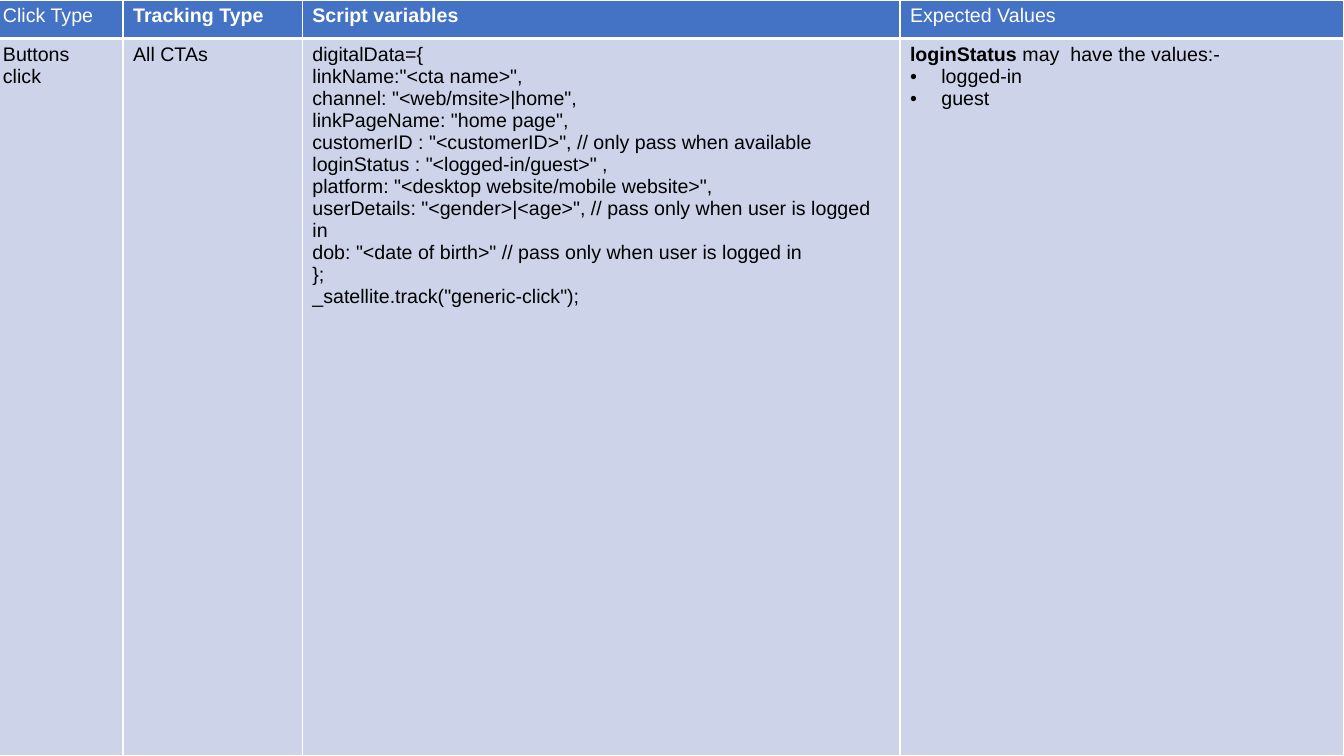
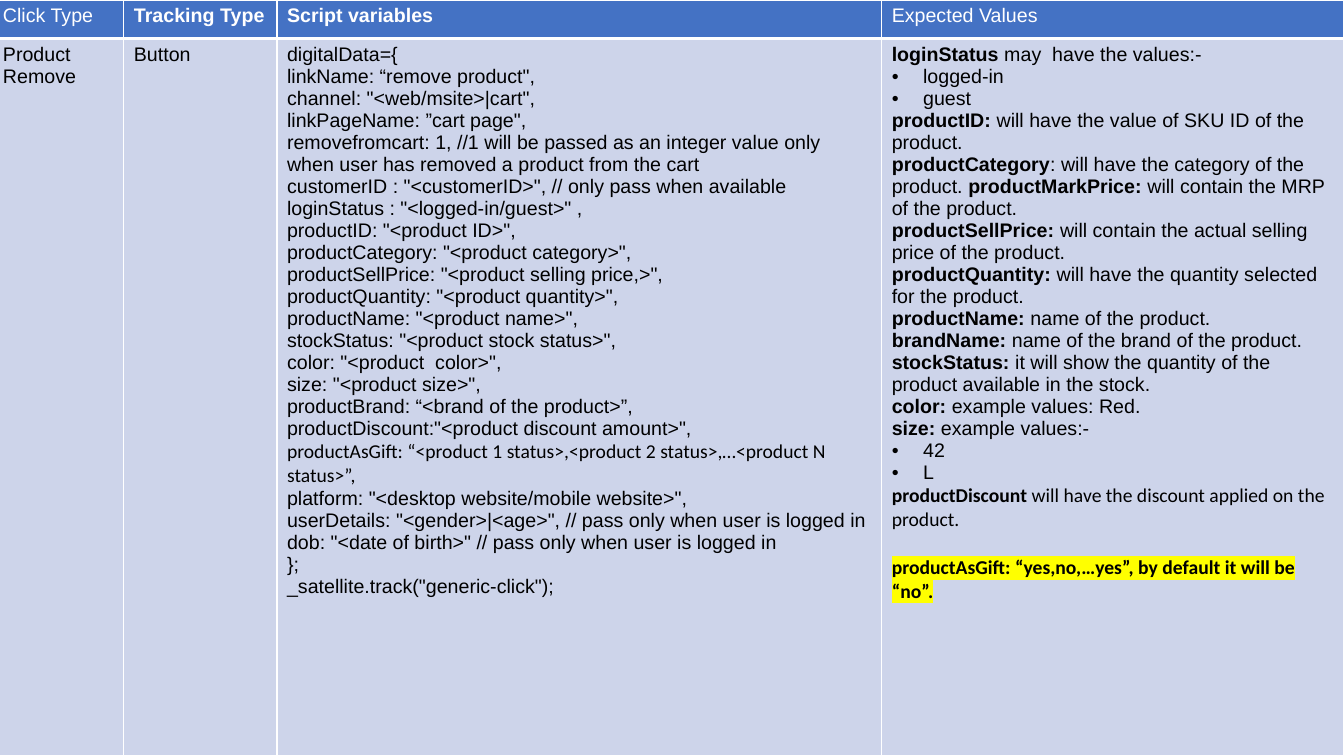
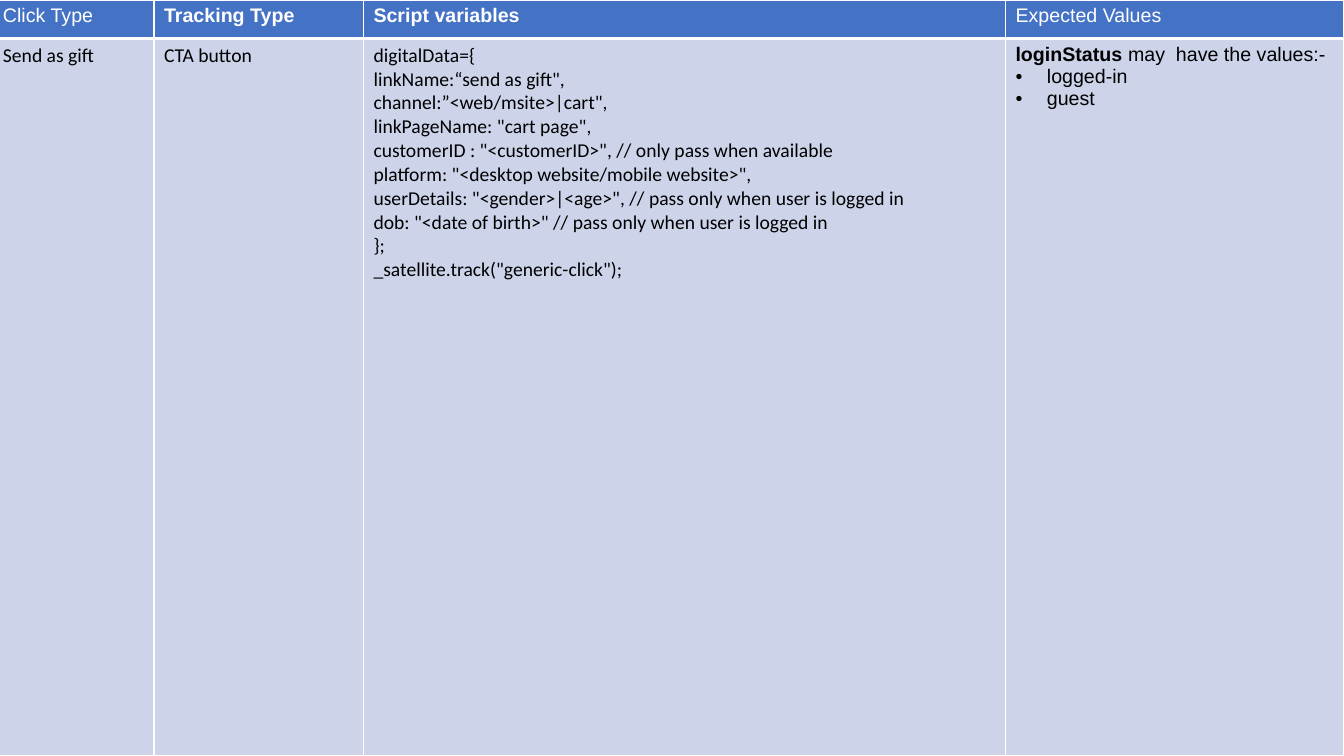
from dataclasses import dataclass

from lxml import etree
from pptx import Presentation
from pptx.dml.color import RGBColor
from pptx.enum.text import MSO_ANCHOR, PP_ALIGN
from pptx.oxml.ns import qn
from pptx.util import Cm, Pt

TOP = MSO_ANCHOR.TOP
LEFT = PP_ALIGN.LEFT

# Shared look
WHITE, BLACK, HEADER_BLUE, BODY_BLUE, YELLOW = "FFFFFF", "000000", "4472C4", "CDD4EA", "FFFF00"
ARIAL, CALIBRI = "Arial", "Calibri"
TEXT_SIZE = Pt(14)
THIN, THICK = Pt(1), Pt(3)
HANGING = Cm(0.79)

# Shared table geometry
SLIDE_WIDTH, SLIDE_HEIGHT = Cm(33.87), Cm(19.05)
TABLE_LEFT, TABLE_WIDTH = Cm(-0.18), Cm(34.04)
HEADER_HEIGHT = Cm(0.97)


@dataclass(frozen=True)
class Line:
    """One paragraph; text between double asterisks is bold."""
    text: str
    font: str = ARIAL
    bullet: bool = False
    highlight: str = ""
    space_before: int = 0


@dataclass(frozen=True)
class TrackingSlide:
    column_widths: tuple[float, ...]  # the last column takes the rest
    click_type: list[Line]
    tracking_type: list[Line]
    script_variables: list[Line]
    expected_values: list[Line]


def lines(text: str, font: str = ARIAL, bullet: bool = False) -> list[Line]:
    return [Line(part, font, bullet) for part in text.strip().splitlines()]


def rgb(color: str) -> RGBColor:
    return RGBColor.from_string(color)


def add_color(parent, tag: str, color: str):
    """Append a colour-bearing element and return it."""
    element = etree.SubElement(parent, qn(tag))
    etree.SubElement(element, qn("a:srgbClr"), val=color)
    return element


def add_bullet(paragraph) -> None:
    properties = paragraph._p.get_or_add_pPr()
    properties.set("marL", str(HANGING))
    properties.set("indent", str(-HANGING))
    add_color(properties, "a:buClr", BLACK)
    etree.SubElement(properties, qn("a:buFont"), typeface=ARIAL)
    etree.SubElement(properties, qn("a:buChar"), char="•")


def add_run(paragraph, text: str, line: Line, color: str, bold: bool) -> None:
    run = paragraph.add_run()
    run.text = text
    run.font.color.rgb = rgb(color)
    for name, value in {"name": line.font, "size": TEXT_SIZE, "bold": bold}.items():
        setattr(run.font, name, value)
    if line.highlight:
        properties = run._r.get_or_add_rPr()
        highlight = add_color(properties, "a:highlight", line.highlight)
        properties.find(qn("a:latin")).addprevious(highlight)


def write_lines(cell, content: list[Line], color: str) -> None:
    frame = cell.text_frame
    for index, line in enumerate(content):
        paragraph = frame.add_paragraph() if index else frame.paragraphs[0]
        paragraph.alignment = LEFT
        if line.space_before:
            paragraph.space_before = line.space_before
        if line.bullet:
            add_bullet(paragraph)
        for position, part in enumerate(line.text.split("**")):
            if part:
                add_run(paragraph, part, line, color, bold=position % 2 == 1)


def style_cell(cell, fill: str, top: int, bottom: int) -> None:
    properties = cell._tc.get_or_add_tcPr()
    borders = {"a:lnL": THIN, "a:lnR": THIN, "a:lnT": top, "a:lnB": bottom}
    for tag, width in borders.items():
        border = etree.SubElement(properties, qn(tag), w=str(width))
        add_color(border, "a:solidFill", WHITE)
    cell.fill.solid()
    cell.fill.fore_color.rgb = rgb(fill)
    cell.vertical_anchor = TOP


def add_tracking_slide(deck, content: TrackingSlide) -> None:
    slide = deck.slides.add_slide(deck.slide_layouts[6])
    table = slide.shapes.add_table(2, 4, TABLE_LEFT, 0, TABLE_WIDTH, SLIDE_HEIGHT).table
    table.first_row = table.horz_banding = False

    # Column widths and row heights
    widths = [Cm(width) for width in content.column_widths]
    widths.append(TABLE_WIDTH - sum(widths))
    for column, width in zip(table.columns, widths):
        column.width = width
    table.rows[0].height = HEADER_HEIGHT
    table.rows[1].height = SLIDE_HEIGHT - HEADER_HEIGHT

    # Header and body cells
    body = (content.click_type, content.tracking_type,
            content.script_variables, content.expected_values)
    for column, (heading, details) in enumerate(zip(HEADINGS, body)):
        header_cell, body_cell = table.cell(0, column), table.cell(1, column)
        style_cell(header_cell, HEADER_BLUE, THIN, THICK)
        write_lines(header_cell, lines(heading), WHITE)
        style_cell(body_cell, BODY_BLUE, THICK, THIN)
        write_lines(body_cell, details, BLACK)


# Wording shared by the slides
HEADINGS = ("Click Type", "**Tracking Type**", "**Script variables**", "Expected Values")
CUSTOMER_ID = 'customerID : "<customerID>", // only pass when available'
LOGIN_STATUS = 'loginStatus : "<logged-in/guest>" ,'
CLOSING = """
platform: "<desktop website/mobile website>",
userDetails: "<gender>|<age>", // pass only when user is logged in
dob: "<date of birth>" // pass only when user is logged in
};
_satellite.track("generic-click");
"""
LOGIN_VALUES = (lines("**loginStatus **may  have the values:-")
                + lines("logged-in\nguest", bullet=True))

BUTTONS_CLICK = TrackingSlide(
    column_widths=(3.28, 4.52, 15.06),
    click_type=lines("Buttons click"),
    tracking_type=lines("All CTAs"),
    script_variables=lines(f"""
digitalData={{
linkName:"<cta name>",
channel: "<web/msite>|home",
linkPageName: "home page",
{CUSTOMER_ID}
{LOGIN_STATUS}
""") + lines(CLOSING),
    expected_values=LOGIN_VALUES,
)

PRODUCT_REMOVE = TrackingSlide(
    column_widths=(3.3, 3.86, 15.24),
    click_type=lines("Product Remove"),
    tracking_type=lines("Button"),
    script_variables=lines(f"""
digitalData={{
linkName: “remove product",
channel: "<web/msite>|cart",
linkPageName: ”cart page",
removefromcart: 1, //1 will be passed as an integer value only when user has removed a product from the cart
{CUSTOMER_ID}
{LOGIN_STATUS}
productID: "<product ID>",
productCategory: "<product category>",
productSellPrice: "<product selling price,>",
productQuantity: "<product quantity>",
productName: "<product name>",
stockStatus: "<product stock status>",
color: "<product  color>",
size: "<product size>",
productBrand: “<brand of the product>”,
productDiscount:"<product discount amount>",
""") + lines("productAsGift: “<product 1 status>,<product 2 status>,…<product N status>”,", CALIBRI)
    + lines(CLOSING),
    expected_values=LOGIN_VALUES + lines("""
**productID:** will have the value of SKU ID of the product.
**productCategory**: will have the category of the product. **productMarkPrice: **will contain the MRP of the product.
**productSellPrice: **will contain the actual selling price of the product.
**productQuantity: **will have the quantity selected for the product.
**productName: **name of the product.
**brandName: **name of the brand of the product.
**stockStatus: **it will show the quantity of the product available in the stock.
**color: **example values: Red.
**size: **example values:-
""") + lines("42\nL", bullet=True) + [
        Line("**productDiscount **will have the discount applied on the product.", CALIBRI),
        Line("**productAsGift: “yes,no,…yes”, by default it will be “no”.**", CALIBRI,
             highlight=YELLOW, space_before=Pt(17)),
    ],
)

SEND_AS_GIFT = TrackingSlide(
    column_widths=(4.06, 5.28, 16.18),
    click_type=lines("Send as gift", CALIBRI),
    tracking_type=lines("CTA button", CALIBRI),
    script_variables=lines(f"""
digitalData={{
linkName:“send as gift",
channel:”<web/msite>|cart",
linkPageName: "cart page",
{CUSTOMER_ID}
""", CALIBRI) + lines(CLOSING, CALIBRI),
    expected_values=LOGIN_VALUES,
)


def main() -> None:
    deck = Presentation()
    deck.slide_width, deck.slide_height = SLIDE_WIDTH, SLIDE_HEIGHT
    for content in (BUTTONS_CLICK, PRODUCT_REMOVE, SEND_AS_GIFT):
        add_tracking_slide(deck, content)
    deck.save("out.pptx")


if __name__ == "__main__":
    main()
